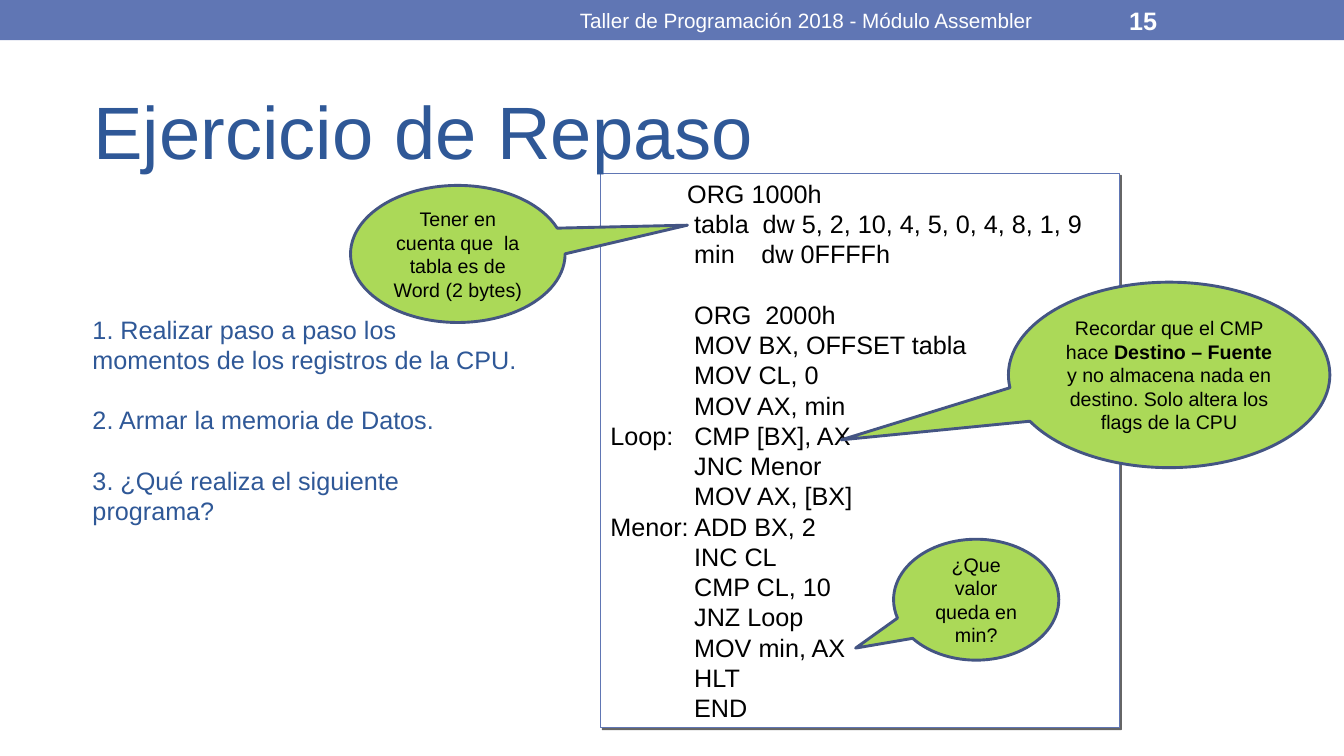
"""Build the review exercise slide with its code listing and callouts."""
from pptx import Presentation
from pptx.dml.color import RGBColor
from pptx.enum.shapes import MSO_SHAPE
from pptx.enum.text import MSO_ANCHOR, PP_ALIGN
from pptx.oxml import parse_xml
from pptx.oxml.ns import nsdecls
from pptx.util import Inches, Pt

RECT = MSO_SHAPE.RECTANGLE
BUBBLE = MSO_SHAPE.OVAL_CALLOUT
TOP, MIDDLE = MSO_ANCHOR.TOP, MSO_ANCHOR.MIDDLE
LEFT, CENTER = PP_ALIGN.LEFT, PP_ALIGN.CENTER

COLORS = {"bar": "6076B4", "white": "FFFFFF", "black": "000000",
          "blue": "2F5897", "green": "ABD958", "edge": "445583"}

CODE = """\
           ORG 1000h
            tabla  dw 5, 2, 10, 4, 5, 0, 4, 8, 1, 9
            min \tdw 0FFFFh

            ORG  2000h
            MOV BX, OFFSET tabla
            MOV CL, 0
            MOV AX, min
Loop:   CMP [BX], AX
            JNC Menor
            MOV AX, [BX]
Menor: ADD BX, 2
            INC CL
            CMP CL, 10
            JNZ Loop
            MOV min, AX
            HLT
            END"""
TASKS = ["1. Realizar paso a paso los momentos de los registros de la CPU.",
         "2. Armar la memoria de Datos.",
         "3. ¿Qué realiza el siguiente programa?"]
LABELS = [
    ((5, 0.02, 6, 0.36), ["Taller de Programación 2018 - Módulo Assembler"],
     {"size": 14.8, "color": "white", "align": CENTER}),
    ((11.11, 0.02, 1.56, 0.36), ["15"],
     {"size": 18, "color": "white", "bold": True}),
    ((0.83, 0.75, 12, 1.08), ["Ejercicio de Repaso"],
     {"size": 53, "color": "blue"}),
    ((0.82, 3.2, 4.43, 1.93), TASKS,
     {"size": 18, "color": "blue", "gap": 21.6}),
]
NOTES = [
    ((3.48, 1.84, 2.13, 1.36), (1.07, -0.21),
     [("Tener en cuenta que  la tabla es de Word (2 bytes)", False)]),
    ((10.01, 2.8, 3.19, 1.84), (-1.02, 0.35),
     [("Recordar que el CMP hace ", False), ("Destino – Fuente ", True),
      ("y no almacena nada en destino. Solo altera los flags de la CPU", False)]),
    ((8.87, 5.35, 1.64, 1.2), (-0.73, 0.4),
     [("¿Que valor queda en min?", False)]),
]


def rgb(name):
    return RGBColor.from_string(COLORS[name])


def add_box(slide, kind, box, fill, edge=None, width=0):
    shape = slide.shapes.add_shape(kind, *map(Inches, box))
    shape.shadow.inherit = False
    shape.fill.solid()
    shape.fill.fore_color.rgb = rgb(fill)
    if edge:
        shape.line.color.rgb = rgb(edge)
        shape.line.width = Pt(width)
    else:
        shape.line.fill.background()
    return shape


def set_frame(shape, anchor):
    frame = shape.text_frame
    values = {"word_wrap": True, "vertical_anchor": anchor,
              "margin_left": Inches(0.1), "margin_right": Inches(0.1),
              "margin_top": Inches(0.05), "margin_bottom": Inches(0.05)}
    for key, value in values.items():
        setattr(frame, key, value)
    return frame


def add_line(frame, first, parts, size, color, align=LEFT, gap=0):
    para = frame.paragraphs[0] if first else frame.add_paragraph()
    para.alignment = align
    if gap and not first:
        para.space_before = Pt(gap)
    for text, bold in parts:
        run = para.add_run()
        run.text = text
        values = {"name": "Arial", "size": Pt(size), "bold": bold}
        for key, value in values.items():
            setattr(run.font, key, value)
        run.font.color.rgb = rgb(color)
    return para


def add_tabs(para):
    stops = "".join(f'<a:tab pos="{Inches(n / 2)}" algn="l"/>' for n in range(8))
    para._p.get_or_add_pPr().append(
        parse_xml(f'<a:tabLst {nsdecls("a")}>{stops}</a:tabLst>'))


def add_code(slide):
    panel = add_box(slide, RECT, (5.96, 1.72, 5.15, 5.5), "white", "bar", 0.75)
    effects = panel._element.spPr.find(
        "{http://schemas.openxmlformats.org/drawingml/2006/main}effectLst")
    effects.append(parse_xml(
        f'<a:outerShdw {nsdecls("a")} blurRad="0" dist="{Pt(2)}" dir="2700000">'
        f'<a:srgbClr val="{COLORS["black"]}"><a:alpha val="60000"/></a:srgbClr>'
        '</a:outerShdw>'))
    frame = set_frame(panel, TOP)
    for num, block in enumerate(CODE.split("\n\n")):
        for row, text in enumerate(block.split("\n")):
            gap = 21.6 if num and not row else 0
            para = add_line(frame, not num and not row, [(text, False)],
                            18, "black", gap=gap)
            add_tabs(para)


def add_label(slide, box, lines, size, color, align=LEFT, bold=False, gap=0):
    frame = set_frame(slide.shapes.add_textbox(*map(Inches, box)), MIDDLE)
    for num, text in enumerate(lines):
        add_line(frame, num == 0, [(text, bold)], size, color, align, gap)


def add_note(slide, box, tip, parts):
    note = add_box(slide, BUBBLE, box, "green", "edge", 2.07)
    for num, value in enumerate(tip):
        note.adjustments[num] = value
    add_line(set_frame(note, MIDDLE), True, parts, 14, "black", CENTER)


def main():
    deck = Presentation()
    deck.slide_width, deck.slide_height = Inches(13.34), Inches(7.5)
    slide = deck.slides.add_slide(deck.slide_layouts[6])
    add_box(slide, RECT, (0, 0, 13.34, 0.4), "bar")
    add_code(slide)
    for box, lines, style in LABELS:
        add_label(slide, box, lines, **style)
    for note in NOTES:
        add_note(slide, *note)
    deck.save("out.pptx")


if __name__ == "__main__":
    main()
